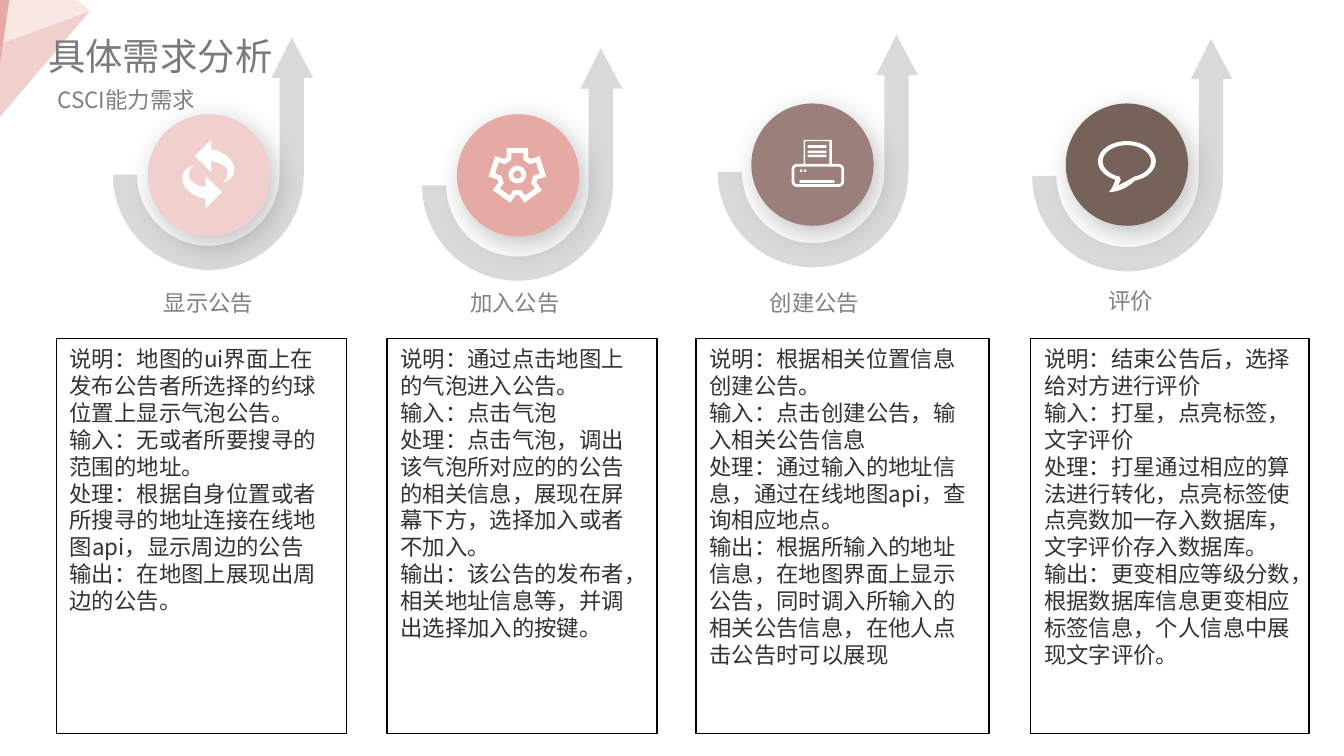
import math

from lxml import etree
from pptx import Presentation
from pptx import util as u
from pptx.dml.color import RGBColor
from pptx.enum import shapes, text
from pptx.oxml.ns import qn

FONT = "Noto Sans CJK SC"
WHITE = RGBColor(0xFF, 0xFF, 0xFF)
BLACK = RGBColor(0x00, 0x00, 0x00)
GREY = RGBColor(0xD9, 0xD9, 0xD9)
TITLE = RGBColor(0x7A, 0x7A, 0x7A)
LABEL = RGBColor(0x80, 0x80, 0x80)
INK = RGBColor(0x33, 0x33, 0x33)
PALE = RGBColor(0xF1, 0xCF, 0xCD)
CREAM = RGBColor(0xF9, 0xE7, 0xE3)
ROSE = RGBColor(0xE5, 0xAA, 0xA4)
MAUVE = RGBColor(0x9B, 0x7F, 0x7B)
BROWN = RGBColor(0x75, 0x63, 0x59)
RECT = shapes.MSO_SHAPE.RECTANGLE
OVAL = shapes.MSO_SHAPE.OVAL


# Geometry: lists of points in inches
def arc(x, y, rx, ry, start, end):
    steps = max(6, int(abs(end - start) / 6))
    angles = [math.radians(start + (end - start) * i / steps) for i in range(steps + 1)]
    return [(x + rx * math.cos(a), y + ry * math.sin(a)) for a in angles]


def curve(*controls):
    """Points along a cubic curve with four control points."""
    return [tuple(sum(math.comb(3, k) * (1 - t) ** (3 - k) * t ** k * c[axis]
                      for k, c in enumerate(controls)) for axis in (0, 1))
            for t in (i / 8 for i in range(9))]


def round_box(left, top, right, bottom, r):
    corners = [(right - r, top + r), (right - r, bottom - r),
               (left + r, bottom - r), (left + r, top + r)]
    return [point for i, (x, y) in enumerate(corners)
            for point in arc(x, y, r, r, 90 * i - 90, 90 * i)]


def cog(x, y, half, tip, root):
    """Five teeth, each the top tooth turned by 72 degrees."""
    tooth = [(-half, -root), (-half, -tip), (half, -tip), (half, -root)]
    turns = [math.radians(72 * i) for i in range(5)]
    return [(x + dx * math.cos(a) - dy * math.sin(a), y + dx * math.sin(a) + dy * math.cos(a))
            for a in turns for dx, dy in tooth]


# Kinds of element
def paint(shape, fill, line=None):
    shape.shadow.inherit = False
    shape.fill.solid()
    shape.fill.fore_color.rgb = fill
    if line is None:
        shape.line.fill.background()
    else:
        shape.line.color.rgb = line
        shape.line.width = u.Pt(0.75)
    return shape


def add_outline(page, fill, *contours):
    """One filled shape; inner contours become holes."""
    contours = [[(u.Inches(x), u.Inches(y)) for x, y in contour] for contour in contours]
    builder = page.shapes.build_freeform(*contours[0][0], scale=1.0)
    builder.add_line_segments(contours[0][1:], close=True)
    for contour in contours[1:]:
        builder.move_to(*contour[0])
        builder.add_line_segments(contour[1:], close=True)
    return paint(builder.convert_to_shape(), fill)


def add_preset(page, kind, place, fill, line=None):
    return paint(page.shapes.add_shape(kind, *map(u.Inches, place)), fill, line)


def write(para, words, size, color):
    span = para.add_run()
    span.text = words
    span.font.size = u.Pt(size)
    span.font.color.rgb = color
    span.font.name = FONT
    etree.SubElement(span.font._element, qn("a:ea"), typeface=FONT)


def add_label(page, place, words, size=12, color=LABEL, wrap=False):
    box = page.shapes.add_textbox(*map(u.Inches, place))
    box.text_frame.word_wrap = wrap
    write(box.text_frame.paragraphs[0], words, size, color)


def add_hook(page, x, y):
    add_outline(page, GREY, [
        (x + 0.62, y - 1.02), (x + 0.47, y - 0.72), (x + 0.53, y - 0.72),
        *arc(x, y, 0.53, 0.53, 0, 180), *arc(x, y, 0.71, 0.71, 180, 0),
        (x + 0.71, y - 0.72), (x + 0.78, y - 0.72)])


def add_disc(page, left, top, fill):
    disc = add_preset(page, OVAL, (left, top, 0.91, 0.91), fill)
    effects = disc._element.spPr.find(qn("a:effectLst"))
    shadow = etree.SubElement(effects, qn("a:outerShdw"), blurRad=str(u.Pt(15)),
                              dist=str(u.Pt(5)), dir=str(55 * 60000),
                              algn="ctr", rotWithShape="0")
    color = etree.SubElement(shadow, qn("a:srgbClr"), val=str(INK))
    etree.SubElement(color, qn("a:alpha"), val="30000")


def add_card(page, left, width, lines):
    box = add_preset(page, RECT, (left, 2.52, width, 2.94), WHITE, BLACK)
    frame = box.text_frame
    frame.word_wrap = True
    frame.vertical_anchor = text.MSO_ANCHOR.TOP
    for i, words in enumerate(lines):
        para = frame.add_paragraph() if i else frame.paragraphs[0]
        para.alignment = text.PP_ALIGN.LEFT
        write(para, words, 12, INK)


# Icons
def add_refresh(page):
    upper = [(1.57, 1.11), (1.57, 1.04), (1.45, 1.16), (1.57, 1.28),
             *curve((1.57, 1.2), (1.67, 1.21), (1.71, 1.26), (1.69, 1.31)),
             *curve((1.69, 1.31), (1.69, 1.33), (1.67, 1.35), (1.65, 1.36)),
             *curve((1.65, 1.36), (1.69, 1.35), (1.73, 1.33), (1.74, 1.29)),
             *curve((1.74, 1.29), (1.76, 1.22), (1.7, 1.15), (1.61, 1.12))]
    add_outline(page, WHITE, upper)
    add_outline(page, WHITE, [(3.1 - x, 2.59 - y) for x, y in upper])


def add_gear(page):
    x, y = 3.85, 1.3
    add_outline(page, WHITE, cog(x, y, 0.08, 0.2, 0.13), cog(x, y, 0.045, 0.16, 0.11),
                arc(x, y, 0.065, 0.065, 0, 360), arc(x, y, 0.03, 0.03, 0, 360))


def add_printer(page):
    add_preset(page, RECT, (5.95, 1.34, 0.26, 0.02), WHITE)
    for top in (1.08, 1.12, 1.15):
        add_preset(page, RECT, (6.01, top, 0.14, 0.02), WHITE)
    add_outline(page, WHITE,
                [(5.98, 1.22), (5.98, 1.04), (6.19, 1.04), (6.19, 1.22),
                 *round_box(5.89, 1.22, 6.28, 1.39, 0.04)],
                [(5.99, 1.05), (6.17, 1.05), (6.17, 1.22), (5.99, 1.22)],
                round_box(5.91, 1.24, 6.26, 1.37, 0.02))
    for left in (5.95, 5.98):
        add_preset(page, OVAL, (left, 1.26, 0.02, 0.02), WHITE)


def add_bubble(page):
    add_outline(page, WHITE,
                [*arc(8.385, 1.2, 0.215, 0.15, 114, 432),
                 *curve((8.45, 1.34), (8.37, 1.42), (8.28, 1.43), (8.25, 1.43)),
                 *curve((8.25, 1.43), (8.25, 1.43), (8.29, 1.39), (8.3, 1.33))],
                [*arc(8.385, 1.2, 0.18, 0.12, 108, 432),
                 (8.38, 1.35), (8.32, 1.38), (8.34, 1.34)])


# Per column: hook centre, disc, icon, label, card
COLUMNS = [
    ((1.55, 1.3), (1.1, 0.85, PALE), add_refresh, (1.12, 2.1, 0.87, 0.3), "显示公告",
     (0.42, 2.16), ["说明：地图的ui界面上在发布公告者所选择的约球位置上显示气泡公告。",
                    "输入：无或者所要搜寻的范围的地址。",
                    "处理：根据自身位置或者所搜寻的地址连接在线地图api，显示周边的公告",
                    "输出：在地图上展现出周边的公告。"]),
    ((3.85, 1.38), (3.4, 0.85, ROSE), add_gear, (3.4, 2.1, 0.87, 0.3), "加入公告",
     (2.88, 2.01), ["说明：通过点击地图上的气泡进入公告。",
                    "输入：点击气泡",
                    "处理：点击气泡，调出该气泡所对应的的公告的相关信息，展现在屏幕下方，选择加入或者不加入。",
                    "输出：该公告的发布者，相关地址信息等，并调出选择加入的按键。"]),
    ((6.05, 1.28), (5.59, 0.77, MAUVE), add_printer, (5.63, 2.1, 0.87, 0.3), "创建公告",
     (5.18, 2.18), ["说明：根据相关位置信息创建公告。",
                    "输入：点击创建公告，输入相关公告信息",
                    "处理：通过输入的地址信息，通过在线地图api，查询相应地点。",
                    "输出：根据所输入的地址信息，在地图界面上显示公告，同时调入所输入的相关公告信息，在他人点击公告时可以展现"]),
    ((8.39, 1.31), (7.93, 0.77, BROWN), add_bubble, (8.15, 2.09, 0.53, 0.3), "评价",
     (7.67, 2.07), ["说明：结束公告后，选择给对方进行评价",
                    "输入：打星，点亮标签，文字评价",
                    "处理：打星通过相应的算法进行转化，点亮标签使点亮数加一存入数据库，文字评价存入数据库。",
                    "输出：更变相应等级分数，根据数据库信息更变相应标签信息，个人信息中展现文字评价。"]),
]


def main():
    deck = Presentation()
    deck.slide_width = u.Inches(10)
    deck.slide_height = deck.slide_width * 9 // 16
    page = deck.slides.add_slide(deck.slide_layouts[6])

    for hook, *_ in COLUMNS:
        add_hook(page, *hook)

    # Corner facets
    add_outline(page, PALE, [(0.67, 0.08), (0.02, 0.32), (0, 0.48), (0, 0.87)])
    add_outline(page, CREAM, [(0.67, 0.08), (0.57, 0), (0.07, 0), (0.02, 0.32)])
    add_outline(page, ROSE, [(0.07, 0), (0, 0), (0, 0.48)])

    # Headings
    add_label(page, (0.26, 0.2, 1.87, 0.44), "具体需求分析", 20, TITLE)
    add_label(page, (0.33, 0.59, 1.22, 0.3), "CSCI能力需求", wrap=True)

    # Columns
    for _, disc, add_icon, place, name, card, lines in COLUMNS:
        add_disc(page, *disc)
        add_icon(page)
        add_label(page, place, name)
        add_card(page, *card, lines)

    deck.save("out.pptx")


if __name__ == "__main__":
    main()
